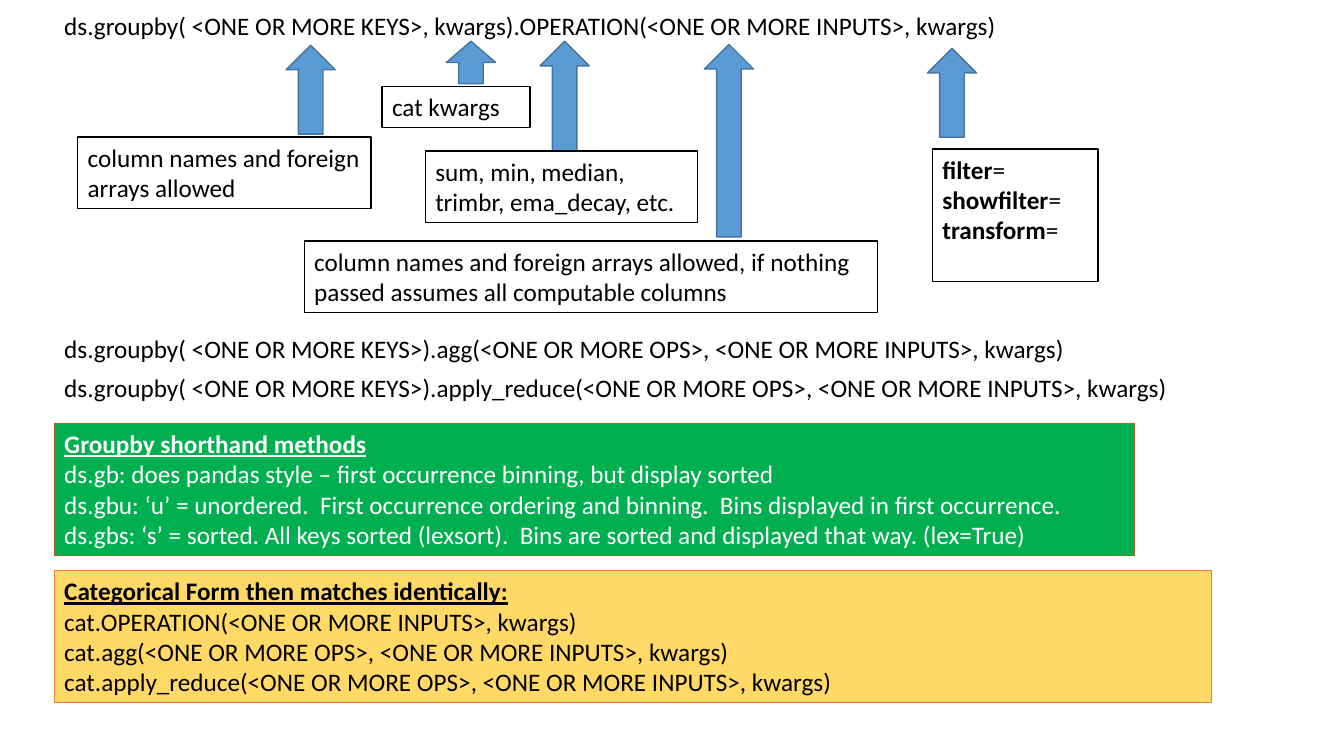
from pptx import Presentation
from pptx import util as u
from pptx.dml.color import RGBColor
from pptx.enum import shapes, text

COLORS = {
    "black": "000000", "white": "FFFFFF",
    "arrow": "5B9BD5", "arrow_edge": "43739E",
    "green": "00B050", "green_edge": "AF5C24",
    "yellow": "FFD966", "yellow_edge": "ED7D31",
}
LEFT = 1.37
LINE_H, NOTE_H, PANEL_H = 1.02, 1.8, 3.33
ARROW_W = 1.24


def rgb(name):
    return RGBColor.from_string(COLORS[name])


def add_run(p, content, color="black", bold=False, underline=False):
    r = p.add_run()
    r.text = content
    f = r.font
    f.name, f.size = "Calibri", u.Pt(18)
    f.bold, f.underline = bold, underline
    f.color.rgb = rgb(color)


def write(sp, paragraphs, color="black"):
    """Each paragraph is a list of (text, format) pairs."""
    tf = sp.text_frame
    tf.word_wrap = True
    tf.auto_size = text.MSO_AUTO_SIZE.NONE
    tf.vertical_anchor = text.MSO_ANCHOR.TOP
    for i, runs in enumerate(paragraphs):
        p = tf.add_paragraph() if i else tf.paragraphs[0]
        p.alignment = text.PP_ALIGN.LEFT
        for content, fmt in runs:
            add_run(p, content, color, **fmt)


def add_shape(s, kind, box, fill, edge):
    sp = s.shapes.add_shape(kind, *map(u.Cm, box))
    sp.shadow.inherit = False
    sp.fill.solid()
    sp.fill.fore_color.rgb = rgb(fill)
    sp.line.color.rgb = rgb(edge)
    sp.line.width = u.Pt(1)
    return sp


def add_code(s, top, width, content):
    sp = s.shapes.add_textbox(*map(u.Cm, (LEFT, top, width, LINE_H)))
    write(sp, [[(content, {})]])


def add_arrow(s, left, top, height):
    add_shape(s, shapes.MSO_SHAPE.UP_ARROW, (left, top, ARROW_W, height),
              "arrow", "arrow_edge")


def add_box(s, box, paragraphs, fill="white", edge="black", color="black"):
    sp = add_shape(s, shapes.MSO_SHAPE.RECTANGLE, box, fill, edge)
    write(sp, paragraphs, color)


def add_panel(s, top, width, title, lines, fill, edge, color):
    heading = [(title, {"bold": True, "underline": True})]
    add_box(s, (LEFT, top, width, PANEL_H),
            [heading] + [[(line, {})] for line in lines], fill, edge, color)


def main():
    prs = Presentation()
    prs.slide_width, prs.slide_height = u.Cm(33.87), u.Cm(19.05)
    s = prs.slides.add_slide(prs.slide_layouts[6])

    # Call signatures
    for top, width, content in [
        (0.13, 27.84, "ds.groupby( <ONE OR MORE KEYS>, kwargs)"
                      ".OPERATION(<ONE OR MORE INPUTS>, kwargs)"),
        (8.28, 27.84, "ds.groupby( <ONE OR MORE KEYS>)"
                      ".agg(<ONE OR MORE OPS>, <ONE OR MORE INPUTS>, kwargs)"),
        (9.25, 29.16, "ds.groupby( <ONE OR MORE KEYS>)"
                      ".apply_reduce(<ONE OR MORE OPS>, <ONE OR MORE INPUTS>, kwargs)"),
    ]:
        add_code(s, top, width, content)

    # Arrows from the notes up to the arguments
    for left, top, height in [(7.21, 1.14, 2.24), (11.25, 1.04, 1.07),
                              (13.61, 1.04, 2.79), (17.75, 1.12, 4.85),
                              (23.37, 1.22, 2.24)]:
        add_arrow(s, left, top, height)

    # Notes on each argument
    for box, content in [
        ((1.96, 3.45, 7.39, NOTE_H), "column names and foreign arrays allowed"),
        ((9.63, 2.18, 3.73, 1.04), "cat kwargs"),
        ((10.72, 3.81, 6.86, NOTE_H), "sum, min, median, trimbr, ema_decay, etc."),
        ((7.67, 6.07, 14.45, NOTE_H), "column names and foreign arrays allowed, "
                                      "if nothing passed assumes all computable columns"),
    ]:
        add_box(s, box, [[(content, {})]])
    add_box(s, (23.5, 3.76, 4.17, PANEL_H),
            [[(name, {"bold": True}), ("=", {})]
             for name in ("filter", "showfilter", "transform")])

    # Summary panels
    add_panel(s, 10.67, 27.23, "Groupby shorthand methods", [
        "ds.gb: does pandas style – first occurrence binning, but display sorted",
        "ds.gbu: ‘u’ = unordered.  First occurrence ordering and binning.  "
        "Bins displayed in first occurrence.",
        "ds.gbs: ‘s’ = sorted. All keys sorted (lexsort).  "
        "Bins are sorted and displayed that way. (lex=True)",
    ], "green", "green_edge", "white")
    add_panel(s, 14.38, 29.16, "Categorical Form then matches identically:", [
        "cat.OPERATION(<ONE OR MORE INPUTS>, kwargs)",
        "cat.agg(<ONE OR MORE OPS>, <ONE OR MORE INPUTS>, kwargs)",
        "cat.apply_reduce(<ONE OR MORE OPS>, <ONE OR MORE INPUTS>, kwargs)",
    ], "yellow", "yellow_edge", "black")

    prs.save("out.pptx")


main()
